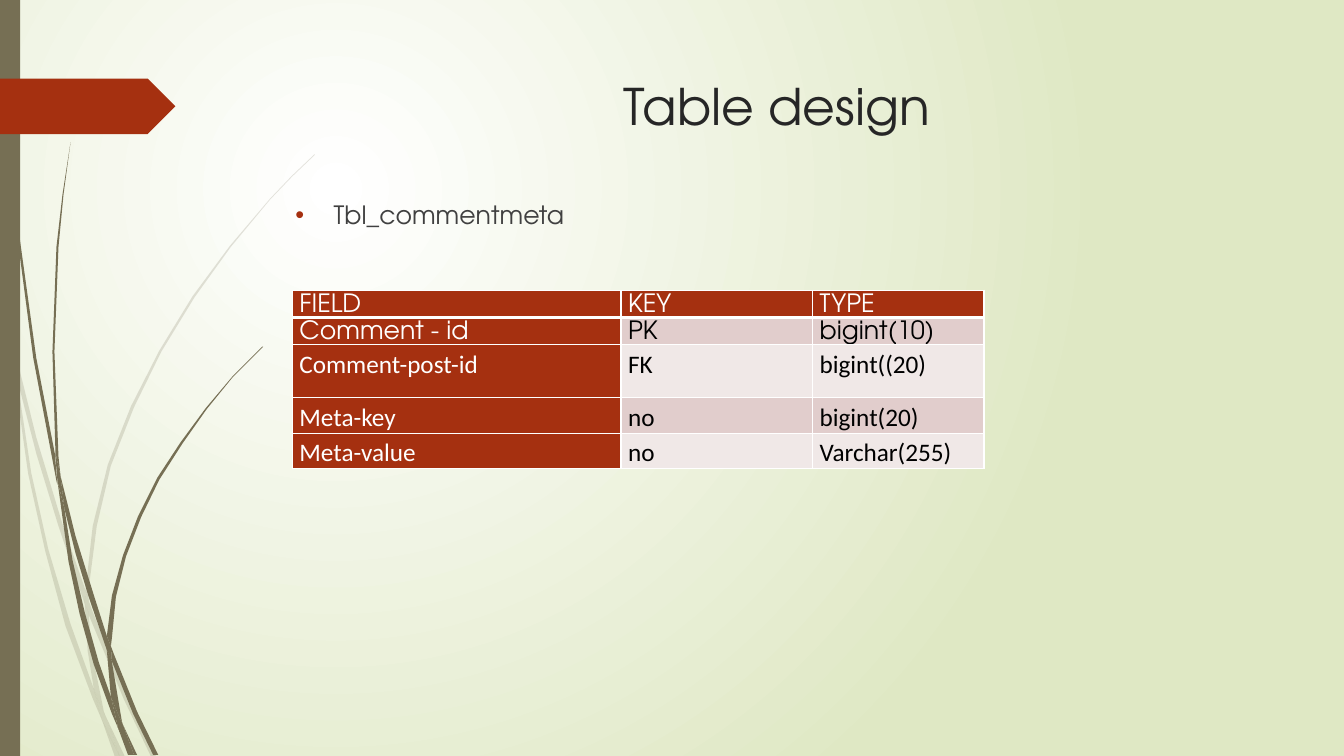
"""Build the table design slide with its grass blades and field table."""
from dataclasses import dataclass

from lxml.etree import SubElement
from pptx import Presentation
from pptx.dml.color import RGBColor
from pptx.enum.shapes import MSO_SHAPE
from pptx.enum.text import MSO_ANCHOR, PP_ALIGN
from pptx.oxml.ns import qn
from pptx.util import Inches, Pt

RECT, ARROW = MSO_SHAPE.RECTANGLE, MSO_SHAPE.PENTAGON
TOP, CENTER = MSO_ANCHOR.TOP, PP_ALIGN.CENTER

TITLE = "Table design"
ITEM = "Tbl_commentmeta"
ROWS = [
    ("FIELD", "KEY", "TYPE"),
    ("Comment - id", "PK", "bigint(10)"),
    ("Comment-post-id", "FK", "bigint((20)"),
    ("Meta-key", "no", "bigint(20)"),
    ("Meta-value", "no", "Varchar(255)"),
]
COLS = (3.26, 1.9, 1.7)
HIGHS = (0.25, 0.26, 0.53, 0.26, 0.26)
SIZE = (13.33, 7.5)
TITLE_BOX = (2.83, 0.69, 9.75, 0.88)
BODY_BOX = (2.83, 1.93, 9.75, 5.01)
TABLE_AT = (2.9, 2.88)
BAR_BOX = (0, 0, 0.2, 7.5)
TAG_BOX = (0, 0.78, 1.74, 0.55)

PALE = [
    [(0.11, 3.5), (0.09, 3.22), (0, 2.82), (0, 2.99), (0.1, 3.44)],
    [(0.58, 5.22), (0.84, 5.99), (0.85, 5.86), (0.62, 5.2), (0.36, 4.34), (0.14, 3.45),
     (0.17, 3.76), (0.36, 4.5)],
    [(0.92, 6.07), (0.88, 5.96), (0.88, 6.1), (1.23, 6.94), (1.5, 7.51), (1.55, 7.51),
     (1.27, 6.92)],
    [(1.19, 7.51), (1.24, 7.51), (1.05, 7.11)],
    [(0.93, 6.83), (0.7, 6.19), (0.48, 5.45), (0.31, 4.69), (0.17, 3.76), (0.11, 3.5),
     (0.28, 4.7), (0.45, 5.47), (0.65, 6.21), (0.92, 6.93), (1.01, 7.14), (0.99, 7.07)],
    [(0.84, 5.99), (0.87, 6.46), (0.93, 6.83), (0.96, 6.92), (1.05, 7.11), (1.03, 7.06),
     (0.91, 6.46), (0.88, 6.1), (0.88, 6.08)],
    [(0.88, 5.84), (0.96, 5.22), (1.1, 4.62), (1.33, 4.04), (1.6, 3.49), (1.93, 2.95),
     (2.29, 2.45), (2.68, 1.98), (2.9, 1.75), (3.12, 1.54), (3.12, 1.53), (2.89, 1.75),
     (2.68, 1.97), (2.28, 2.44), (1.91, 2.94), (1.58, 3.48), (1.3, 4.03), (1.07, 4.61),
     (0.92, 5.22), (0.85, 5.84), (0.85, 5.86), (0.88, 5.96)],
    [(1.01, 7.14), (1.14, 7.51), (1.19, 7.51)],
    [(0.88, 6.08), (0.88, 6.1), (0.88, 5.96), (0.85, 5.86), (0.84, 5.99)],
    [(0.96, 6.92), (0.93, 6.83), (0.99, 7.07), (1.01, 7.14), (1.19, 7.51), (1.05, 7.11)],
]
DARK = [
    [(0.07, 1.1), (0.17, 2.33), (0.33, 3.55), (0.56, 4.77), (0.57, 4.81), (0.55, 4.57),
     (0.55, 4.53), (0.36, 3.55), (0.19, 2.32), (0.08, 1.09), (0.05, 0.48), (0.04, 0),
     (0.03, 0), (0.04, 0.48)],
    [(0.88, 5.92), (1.06, 6.45), (1.06, 6.31), (0.93, 5.9), (0.75, 5.32), (0.6, 4.72),
     (0.64, 5.05), (0.75, 5.49)],
    [(1.13, 6.49), (1.1, 6.41), (1.11, 6.56), (1.32, 7.08), (1.52, 7.49), (1.57, 7.49),
     (1.36, 7.06)],
    [(1.1, 6.91), (0.98, 6.57), (0.84, 6.07), (0.72, 5.56), (0.64, 5.05), (0.57, 4.77),
     (0.68, 5.57), (0.79, 6.09), (0.93, 6.59), (1.11, 7.08), (1.17, 7.22), (1.16, 7.17)],
    [(0.6, 4.72), (0.58, 4.53), (0.54, 3.49), (0.58, 2.45), (0.63, 1.93), (0.7, 1.41),
     (0.62, 1.93), (0.56, 2.45), (0.52, 3.49), (0.55, 4.49)],
    [(1.33, 7.49), (1.36, 7.49), (1.22, 7.19)],
    [(0.57, 4.77), (0.64, 5.05), (0.6, 4.72), (0.55, 4.49), (0.55, 4.53)],
    [(1.11, 6.33), (1.15, 5.92), (1.25, 5.52), (1.4, 5.13), (1.58, 4.76), (1.81, 4.4),
     (2.05, 4.06), (2.31, 3.74), (2.61, 3.44), (2.6, 3.44), (2.31, 3.73), (2.04, 4.05),
     (1.79, 4.39), (1.56, 4.74), (1.37, 5.12), (1.22, 5.51), (1.11, 5.91), (1.06, 6.31),
     (1.1, 6.41)],
    [(1.17, 7.22), (1.27, 7.49), (1.31, 7.49)],
    [(1.06, 6.45), (1.1, 6.91), (1.16, 7.06), (1.22, 7.19), (1.21, 7.16), (1.11, 6.56),
     (1.09, 6.51)],
    [(1.06, 6.45), (1.11, 6.56), (1.1, 6.41), (1.06, 6.31)],
    [(1.16, 7.06), (1.1, 6.91), (1.16, 7.17), (1.17, 7.22), (1.3, 7.49), (1.33, 7.49),
     (1.22, 7.19)],
]


@dataclass(frozen=True)
class Theme:
    """Hold colours, fonts and type sizes."""
    red: str = "A53010"
    olive: str = "766F54"
    white: str = "FFFFFF"
    black: str = "000000"
    lime: str = "DFE8C4"
    bands: tuple = ("F0E8E7", "E1CDCC")
    head: str = "262626"
    text: str = "404040"
    face: str = "TeX Gyre Adventor"
    plain: str = "Calibri"
    big: int = 36
    small: int = 18


LOOK = Theme()
rgb = RGBColor.from_string


def box(values):
    """Turn inches into lengths."""
    return [Inches(v) for v in values]


def style(para, face, size, tone):
    """Format every run of a paragraph."""
    for run in para.runs:
        run.font.name, run.font.size = face, Pt(size)
        run.font.bold = False
        run.font.color.rgb = rgb(tone)


def paint(shape, tone, alpha=None):
    """Give a shape a flat fill without line or shadow."""
    shape.shadow.inherit = False
    shape.line.fill.background()
    shape.fill.solid()
    shape.fill.fore_color.rgb = rgb(tone)
    if alpha:
        color = shape._element.spPr.find(".//" + qn("a:srgbClr"))
        SubElement(color, qn("a:alpha"), val=str(alpha * 1000))


def add_blade(shapes, dots, alpha):
    """Draw one piece of a blade of grass."""
    start, *rest = map(box, dots)
    pen = shapes.build_freeform(*start)
    pen.add_line_segments(rest, close=True)
    paint(pen.convert_to_shape(), LOOK.olive, alpha)


def add_back(slide):
    """Fill the background with a round gradient."""
    fill = slide.background.fill
    fill.gradient()
    for stop, tone in zip(fill.gradient_stops, (LOOK.white, LOOK.lime)):
        stop.color.rgb = rgb(tone)
    grad = slide._element.find(".//" + qn("a:gradFill"))
    grad.remove(grad.find(qn("a:lin")))
    ring = SubElement(grad, qn("a:path"), {"path": "circle"})
    SubElement(ring, qn("a:fillToRect"), l="50000", t="50000", r="100000", b="100000")


def add_edges(cell, row):
    """Draw white cell borders, heavier below the header."""
    for side in "LRTB":
        width = Pt(3 if (row, side) in {(0, "B"), (1, "T")} else 1)
        line = SubElement(cell._tc.get_or_add_tcPr(), qn("a:ln" + side), w=str(width))
        SubElement(SubElement(line, qn("a:solidFill")), qn("a:srgbClr"), val=LOOK.white)


def add_grid(shapes):
    """Add the field table."""
    size = box((sum(COLS), sum(HIGHS)))
    grid = shapes.add_table(len(ROWS), len(COLS), *box(TABLE_AT), *size).table
    for col, wide in zip(grid.columns, COLS):
        col.width = Inches(wide)
    for y, (row, high) in enumerate(zip(ROWS, HIGHS)):
        grid.rows[y].height = Inches(high)
        for x, text in enumerate(row):
            cell, lead = grid.cell(y, x), y == 0 or x == 0
            cell.margin_left = cell.margin_right = Inches(0.07)
            cell.margin_top = cell.margin_bottom = 0
            add_edges(cell, y)
            cell.fill.solid()
            cell.fill.fore_color.rgb = rgb(LOOK.red if lead else LOOK.bands[y % 2])
            cell.text_frame.text = text
            para = cell.text_frame.paragraphs[0]
            para.line_spacing = 1.15
            style(para, LOOK.face if y < 2 else LOOK.plain, LOOK.small,
                  LOOK.white if lead else LOOK.black)


def add_text(slide, holder, area, text, size, tone):
    """Place and fill a placeholder, and return its paragraph."""
    holder.left, holder.top, holder.width, holder.height = box(area)
    slide.shapes._spTree.append(holder._element)
    holder.text_frame.text = text
    holder.text_frame.vertical_anchor = TOP
    para = holder.text_frame.paragraphs[0]
    style(para, LOOK.face, size, tone)
    return para


def main():
    """Build and save the slide."""
    deck = Presentation()
    deck.slide_width, deck.slide_height = box(SIZE)
    slide = deck.slides.add_slide(deck.slide_layouts[1])
    add_back(slide)
    for blades, alpha in ((PALE, 20), (DARK, None)):
        for dots in blades:
            add_blade(slide.shapes, dots, alpha)
    for kind, area, tone in ((RECT, BAR_BOX, LOOK.olive), (ARROW, TAG_BOX, LOOK.red)):
        paint(slide.shapes.add_shape(kind, *box(area)), tone)
    title, body = slide.placeholders
    add_text(slide, title, TITLE_BOX, TITLE, LOOK.big, LOOK.head).alignment = CENTER
    para = add_text(slide, body, BODY_BOX, ITEM, LOOK.small, LOOK.text)
    para.space_before = Pt(10)
    props = para._p.get_or_add_pPr()
    props.set("marL", str(Inches(0.38)))
    props.set("indent", str(-Inches(0.38)))
    SubElement(SubElement(props, qn("a:buClr")), qn("a:srgbClr"), val=LOOK.red)
    SubElement(props, qn("a:buChar"), char="•")
    add_grid(slide.shapes)
    deck.save("out.pptx")


if __name__ == "__main__":
    main()
